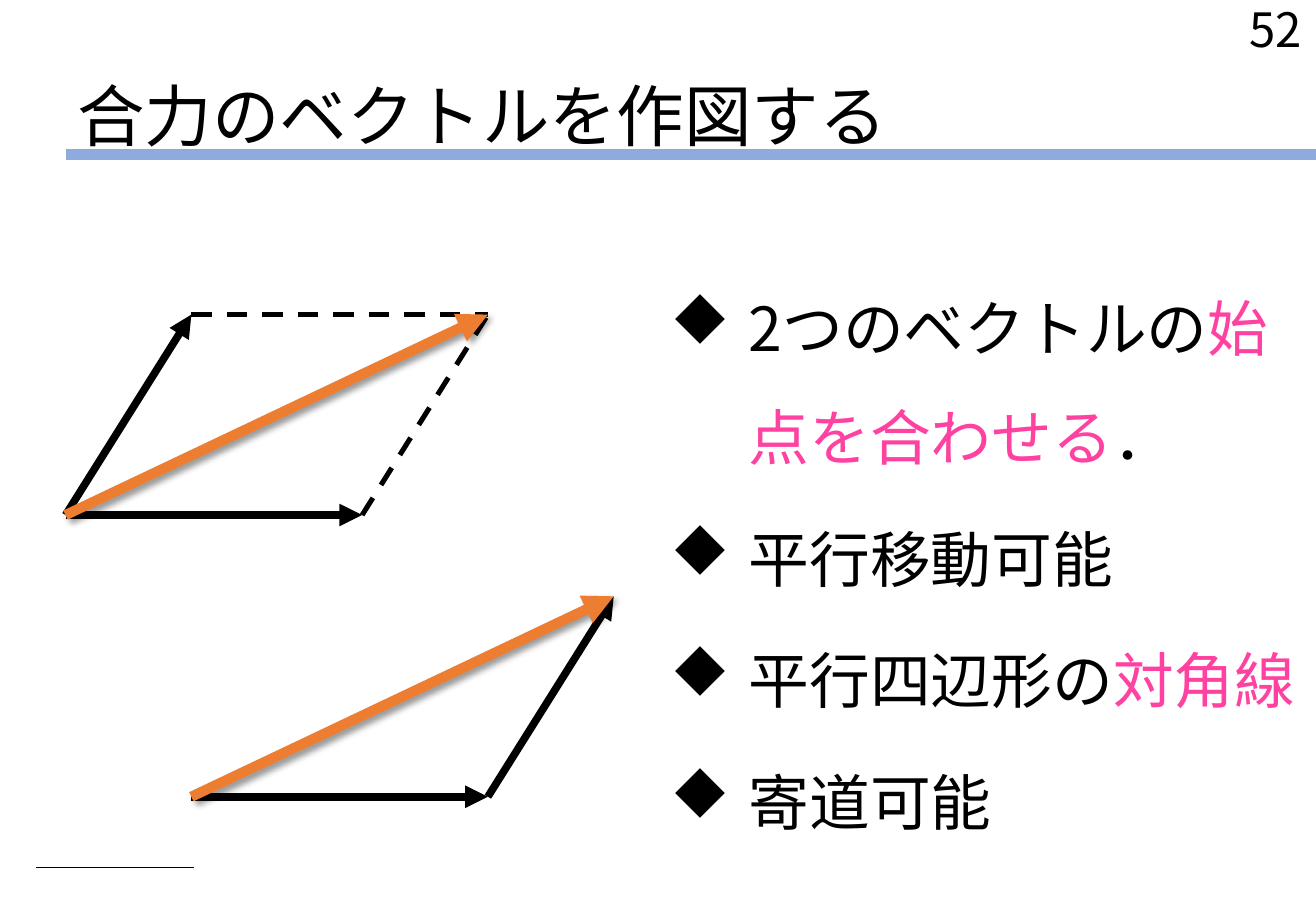
from lxml import etree
from pptx import Presentation
from pptx.dml.color import RGBColor
from pptx.enum.dml import MSO_LINE
from pptx.enum.shapes import MSO_CONNECTOR
from pptx.enum.text import MSO_ANCHOR, PP_ALIGN
from pptx.oxml.ns import qn
from pptx.util import Cm, Pt

STRAIGHT = MSO_CONNECTOR.STRAIGHT
DASH = MSO_LINE.DASH
TOP, MID, LOW = MSO_ANCHOR.TOP, MSO_ANCHOR.MIDDLE, MSO_ANCHOR.BOTTOM
RIGHT = PP_ALIGN.RIGHT

# Content
BLACK, PINK, ORANGE, BLUE = "000000", "FF42A1", "ED7D31", "8FAADC"
JP, KR = "Noto Sans CJK JP", "Noto Sans CJK KR"
TITLE = "合力のベクトルを作図する"
PAGE = "52"
POINTS = [
    [("2", BLACK, KR), ("つのベクトルの", BLACK, JP),
     ("始点を合わせる", PINK, JP), ("．", BLACK, JP)],
    [("平行移動可能", BLACK, JP)],
    [("平行四辺形の", BLACK, JP), ("対角線", PINK, JP)],
    [("寄道可能", BLACK, JP)],
]

# Vectors in cm
BASE, SIDE = (6.2, 0), (2.63, -4.19)
UPPER, LOWER = (1.37, 10.77), (4, 16.66)

deck = Presentation()
deck.slide_width, deck.slide_height = Cm(27.51), Cm(19.05)
slide = deck.slides.add_slide(deck.slide_layouts[6])
shapes = slide.shapes


def rgb(code):
    return RGBColor.from_string(code)


def sub(node, tag, **attrs):
    return etree.SubElement(node, qn(tag), attrs)


def plus(p, v):
    return p[0] + v[0], p[1] + v[1]


def line(start, end, color, width, dash=None, head=False, shade=False):
    item = shapes.add_connector(STRAIGHT, *map(Cm, start + end))
    item.line.color.rgb = rgb(color)
    item.line.width = Pt(width)
    if dash:
        item.line.dash_style = dash
    if head:
        sub(item.line._get_or_add_ln(), "a:tailEnd", type="triangle")
    fx = sub(item._element.spPr, "a:effectLst")
    if shade:
        glow = sub(fx, "a:outerShdw", blurRad=str(Pt(4)), dist=str(Pt(3)),
                   dir="2700000", algn="tl", rotWithShape="0")
        sub(sub(glow, "a:srgbClr", val=BLACK), "a:alpha", val="40000")


def style(font, color, name):
    font.color.rgb = rgb(color)
    font.name = name
    sub(font._element, "a:ea", typeface=name)


def box(left, top, width, height, anchor, inset_top=0.13, inset_low=0.13):
    frame = shapes.add_textbox(*map(Cm, (left, top, width, height))).text_frame
    frame.word_wrap = True
    frame.vertical_anchor = anchor
    frame.margin_top, frame.margin_bottom = Cm(inset_top), Cm(inset_low)
    return frame


def label(frame, text, size, align=None):
    para = frame.paragraphs[0]
    para.add_run().text = text
    para.alignment = align
    para.font.size = Pt(size)
    style(para.font, BLACK, KR)


def bullet(para):
    props = para._p.get_or_add_pPr()
    props.set("marL", str(Cm(1.63)))
    props.set("indent", str(-Cm(1.63)))
    sub(sub(props, "a:buClr"), "a:srgbClr", val=BLACK)
    sub(props, "a:buFont", typeface="Wingdings", charset="2")
    sub(props, "a:buChar", char="u")


# Rules of the page
line((1.37, 3.23), (27.51, 3.23), BLUE, 6)
line((4.06, 18.14), (0.76, 18.14), BLACK, 1)

# Bullet list
body = box(13.77, 3.33, 13.77, 15.72, MID, inset_top=0.58)
for i, runs in enumerate(POINTS):
    para = body.paragraphs[0] if i == 0 else body.add_paragraph()
    bullet(para)
    para.line_spacing = Pt(64.8)
    para.space_before = Pt(7.2 if i else 0)
    para.font.size = Pt(36)
    for text, color, name in runs:
        run = para.add_run()
        run.text = text
        style(run.font, color, name)

# Title
label(box(1.37, 1.02, 26.14, 2.26, LOW, inset_low=0.03), TITLE, 40)

# Parallelogram
right, up = plus(UPPER, BASE), plus(UPPER, SIDE)
tip = plus(right, SIDE)
for end in (right, up):
    line(UPPER, end, BLACK, 4.5, head=True)
for start in (right, up):
    line(start, tip, BLACK, 3, dash=DASH)
line(UPPER, tip, ORANGE, 6, head=True, shade=True)

# Triangle
turn = plus(LOWER, BASE)
tip = plus(turn, SIDE)
line(LOWER, turn, BLACK, 4.5, head=True)
line(turn, tip, BLACK, 4.5, head=True)
line(LOWER, tip, ORANGE, 6, head=True, shade=True)

# Page number
label(box(24.56, 0, 2.9, 1.68, TOP, inset_top=0), PAGE, 28, RIGHT)

deck.save("out.pptx")
